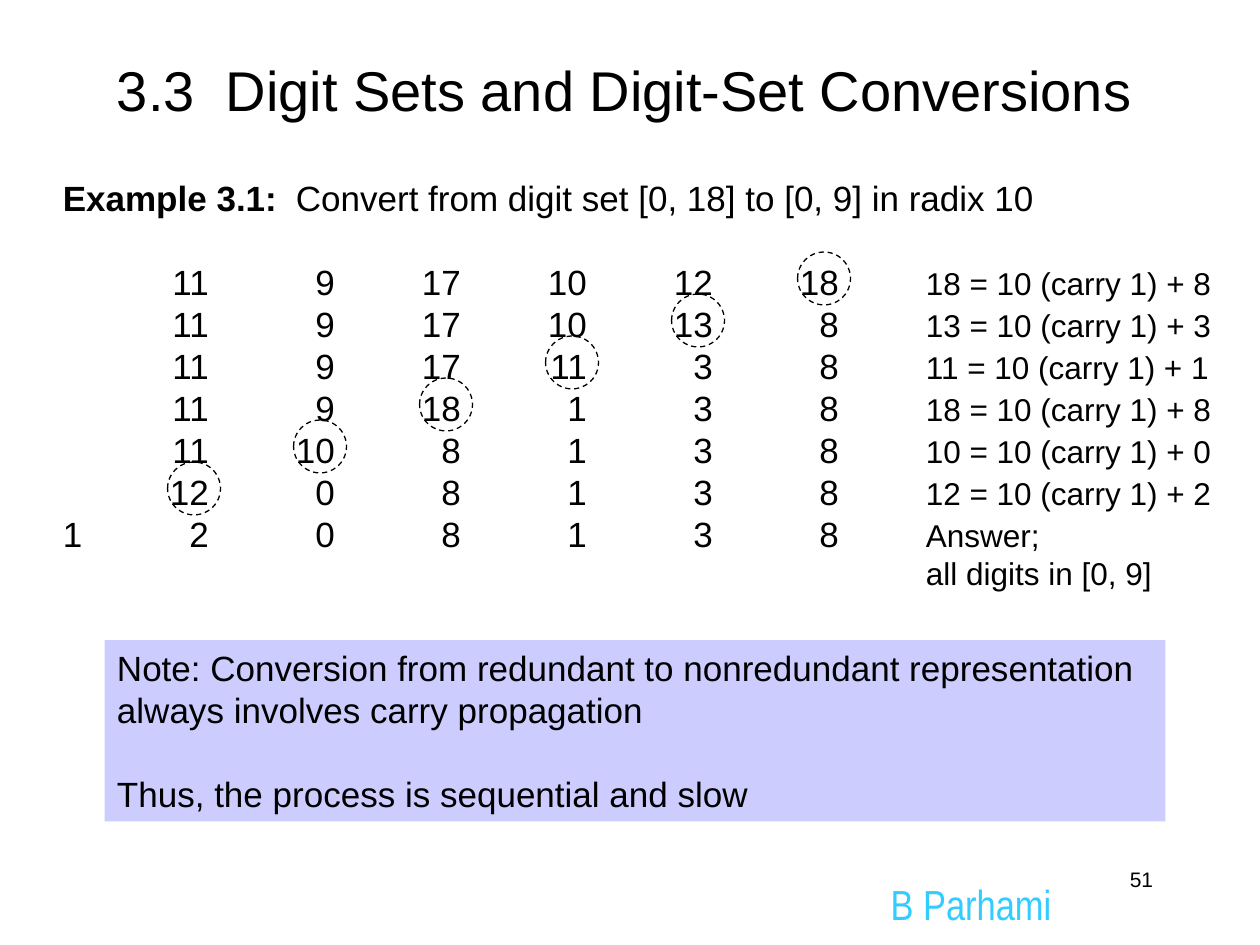
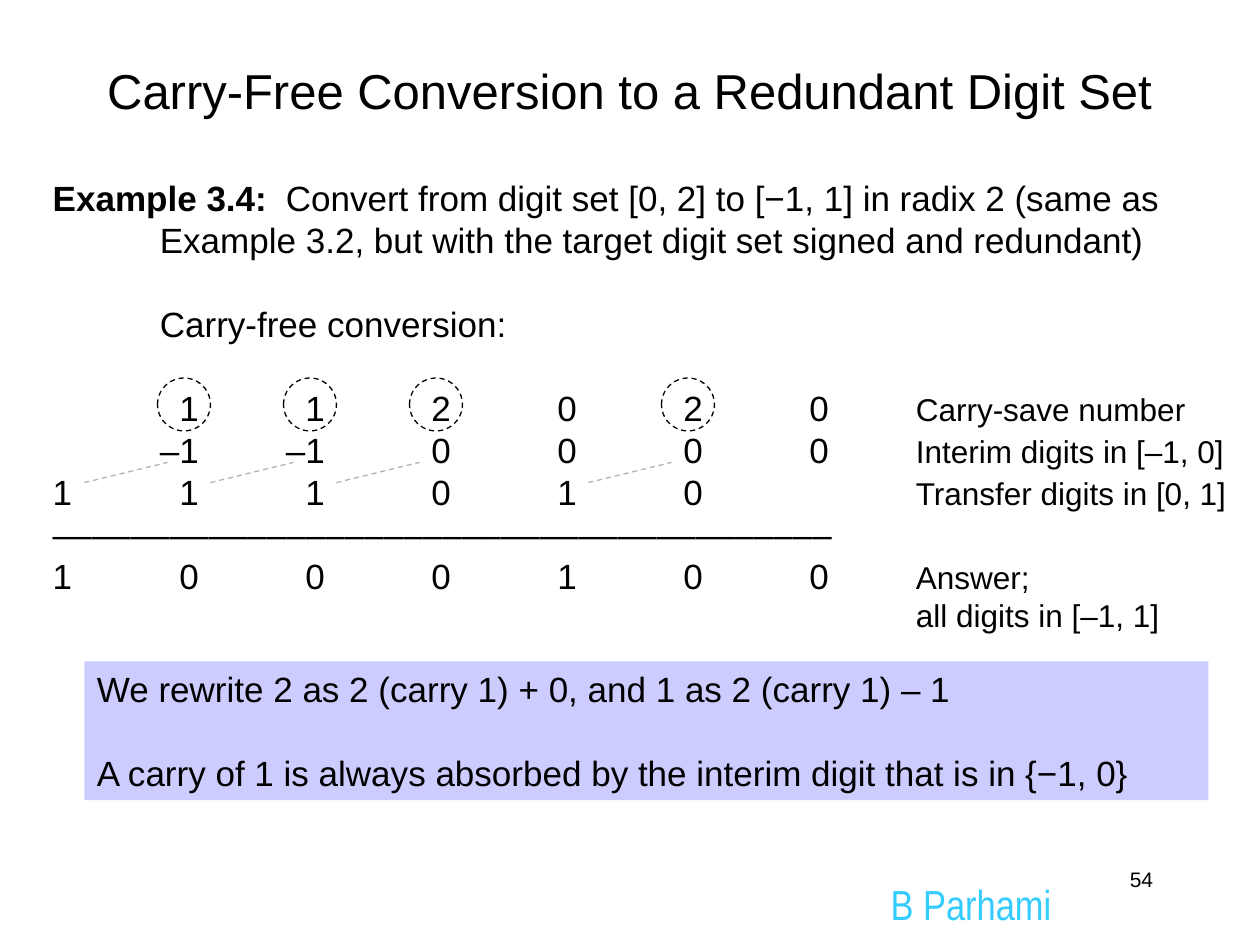
from dataclasses import dataclass

from pptx import Presentation
from pptx.dml.color import RGBColor
from pptx.enum.dml import MSO_LINE_DASH_STYLE as Dash
from pptx.enum.shapes import MSO_CONNECTOR as Link, MSO_SHAPE as Shape
from pptx.enum.text import MSO_ANCHOR as Anchor, MSO_AUTO_SIZE as Fit, PP_ALIGN as Align
from pptx.oxml.ns import qn
from pptx.util import Inches, Pt
from lxml.etree import SubElement

BLACK = RGBColor(0x00, 0x00, 0x00)
GRAY = RGBColor(0xB2, 0xB2, 0xB2)
LILAC = RGBColor(0xCC, 0xCC, 0xFF)
SKY = RGBColor(0x33, 0xCC, 0xFF)

COLS = 6
NOTE_X = 6.85
LEAD_X = 0.85
RING = 0.42
PITCH = 24
HEAD_TABS = [(1.85, "l")]
ROW_TABS = [(col + 0.16, "r") for col in range(1, COLS + 1)] + [(NOTE_X, "l")]


@dataclass
class Box:
    left: float
    top: float
    width: float
    height: float

    def spot(self) -> tuple:
        return tuple(Inches(v) for v in (self.left, self.top, self.width, self.height))


@dataclass
class Part:
    text: str
    size: float = 20
    bold: bool = False


@dataclass
class Row:
    digits: str
    note: str
    lead: str = ""
    before: float = 0


# Text
def put(frame, *parts, size=20, font="Arial", color=BLACK, align=Align.LEFT,
        before=0, indent=0, tabs=(), pitch=None) -> None:
    """Add one paragraph made of strings or Parts."""
    para = frame.paragraphs[0]
    if para.runs:
        para = frame.add_paragraph()
    props = para._p.get_or_add_pPr()
    if indent:
        props.set("marL", str(Inches(indent)))
    if tabs:
        stops = SubElement(props, qn("a:tabLst"))
        for pos, kind in tabs:
            SubElement(stops, qn("a:tab"), pos=str(Inches(pos)), algn=kind)
    para.alignment = align
    if pitch:
        para.line_spacing = Pt(pitch)
    if before:
        para.space_before = Pt(before)
    for part in parts:
        if isinstance(part, str):
            part = Part(part, size)
        run = para.add_run()
        run.text = part.text
        run.font.name = font
        run.font.size = Pt(part.size)
        run.font.bold = part.bold
        run.font.color.rgb = color


def add_text(slide, box: Box):
    frame = slide.shapes.add_textbox(*box.spot()).text_frame
    frame.word_wrap = True
    return frame


# Parts shared by the slides
def add_base(deck, title: str, box: Box, size: float, page: str):
    slide = deck.slides.add_slide(deck.slide_layouts[5])
    head = slide.shapes.title
    head.left, head.top, head.width, head.height = box.spot()
    frame = head.text_frame
    frame.auto_size = Fit.NONE
    frame.vertical_anchor = Anchor.MIDDLE
    put(frame, title, size=size, align=Align.CENTER)
    put(add_text(slide, Box(6.97, 6.92, 1.6, 0.42)), "B Parhami",
        size=24, font="Arial Narrow", color=SKY)
    put(add_text(slide, Box(7.17, 6.83, 2.08, 0.5)), page, size=12, align=Align.RIGHT)
    return slide


def add_head(frame, label: str, task: str) -> None:
    put(frame, Part(label, bold=True), "\t" + task, tabs=HEAD_TABS, pitch=PITCH)


def add_row(frame, row: Row) -> None:
    cells = row.digits.split()
    cells += [""] * (COLS - len(cells))
    put(frame, "\t".join([row.lead, *cells, ""]), Part(row.note, 18),
        tabs=ROW_TABS, before=row.before, pitch=PITCH)


def add_end(frame, text: str) -> None:
    put(frame, text, size=18, indent=NOTE_X, pitch=21.6)


def add_note(slide, box: Box, first: str, last: str) -> None:
    shape = slide.shapes.add_shape(Shape.RECTANGLE, *box.spot())
    shape.shadow.inherit = False
    shape.fill.solid()
    shape.fill.fore_color.rgb = LILAC
    shape.line.fill.background()
    frame = shape.text_frame
    frame.word_wrap = True
    frame.vertical_anchor = Anchor.TOP
    put(frame, first, pitch=PITCH)
    put(frame, last, before=PITCH, pitch=PITCH)


def dash(line, color: RGBColor) -> None:
    line.color.rgb = color
    line.width = Pt(0.75)
    line.dash_style = Dash.DASH


def add_ring(slide, left: float, top: float) -> None:
    ring = slide.shapes.add_shape(Shape.OVAL, *Box(left, top, RING, RING).spot())
    ring.shadow.inherit = False
    ring.fill.background()
    dash(ring.line, BLACK)


def add_carry(slide, left: float) -> None:
    ends = [Inches(v) for v in (left, 3.83, left + 0.66, 3.67)]
    link = slide.shapes.add_connector(Link.STRAIGHT, *ends)
    dash(link.line, GRAY)
    SubElement(link._element.spPr, qn("a:effectLst"))


# Slide with the sequential conversion
def add_serial(deck) -> None:
    slide = add_base(deck, "3.3  Digit Sets and Digit-Set Conversions",
                     Box(0.42, 0.17, 9.08, 1.08), 32, "51")
    frame = add_text(slide, Box(0.4, 1.35, 9.5, 3.4))
    add_head(frame, "Example 3.1:", "Convert from digit set [0, 18] to [0, 9] in radix 10")
    rows = [
        Row("11 9 17 10 12 18", "18 = 10 (carry 1) + 8", before=PITCH),
        Row("11 9 17 10 13 8", "13 = 10 (carry 1) + 3"),
        Row("11 9 17 11 3 8", "11 = 10 (carry 1) + 1"),
        Row("11 9 18 1 3 8", "18 = 10 (carry 1) + 8"),
        Row("11 10 8 1 3 8", "10 = 10 (carry 1) + 0"),
        Row("12 0 8 1 3 8", "12 = 10 (carry 1) + 2"),
        Row("2 0 8 1 3 8", "Answer;", lead="1"),
    ]
    for row in rows:
        add_row(frame, row)
    add_end(frame, "all digits in [0, 9]")
    for step in range(COLS):
        add_ring(slide, 6.33 - step, 2 + step / 3)
    add_note(slide, Box(0.83, 5.08, 8.42, 1.44),
             "Note: Conversion from redundant to nonredundant representation "
             "always involves carry propagation",
             "Thus, the process is sequential and slow")


# Slide with the carry-free conversion
def add_free(deck) -> None:
    slide = add_base(deck, "Carry-Free Conversion to a Redundant Digit Set",
                     Box(0.33, 0.17, 9.33, 1.08), 28, "54")
    frame = add_text(slide, Box(0.32, 1.35, 9.68, 3.74))
    add_head(frame, "Example 3.4:",
             "Convert from digit set [0, 2] to [−1, 1] in radix 2 (same as")
    put(frame, "Example 3.2, but with the target digit set signed and redundant)",
        indent=LEAD_X, pitch=PITCH)
    put(frame, "Carry-free conversion:", indent=LEAD_X, before=PITCH, pitch=PITCH)
    rows = [
        Row("1 1 2 0 2 0", "Carry-save number", before=PITCH),
        Row("–1 –1 0 0 0 0", "Interim digits in [–1, 0]"),
        Row("1 1 0 1 0", "Transfer digits in [0, 1]", lead="1"),
    ]
    for row in rows:
        add_row(frame, row)
    put(frame, "–" * 40, pitch=PITCH)
    add_row(frame, Row("0 0 0 1 0 0", "Answer;", lead="1"))
    add_end(frame, "all digits in [–1, 1]")
    for col in (1, 2, 3, 5):
        add_ring(slide, col + 0.25, 3)
        add_carry(slide, col - 0.33)
    add_note(slide, Box(0.67, 5.25, 8.92, 1.1),
             "We rewrite 2 as 2 (carry 1) + 0, and 1 as 2 (carry 1) – 1",
             "A carry of 1 is always absorbed by the interim digit that is in {−1, 0}")


def main() -> None:
    deck = Presentation()
    deck.slide_width, deck.slide_height = Inches(10), Inches(7.5)
    add_serial(deck)
    add_free(deck)
    deck.save("out.pptx")


if __name__ == "__main__":
    main()
